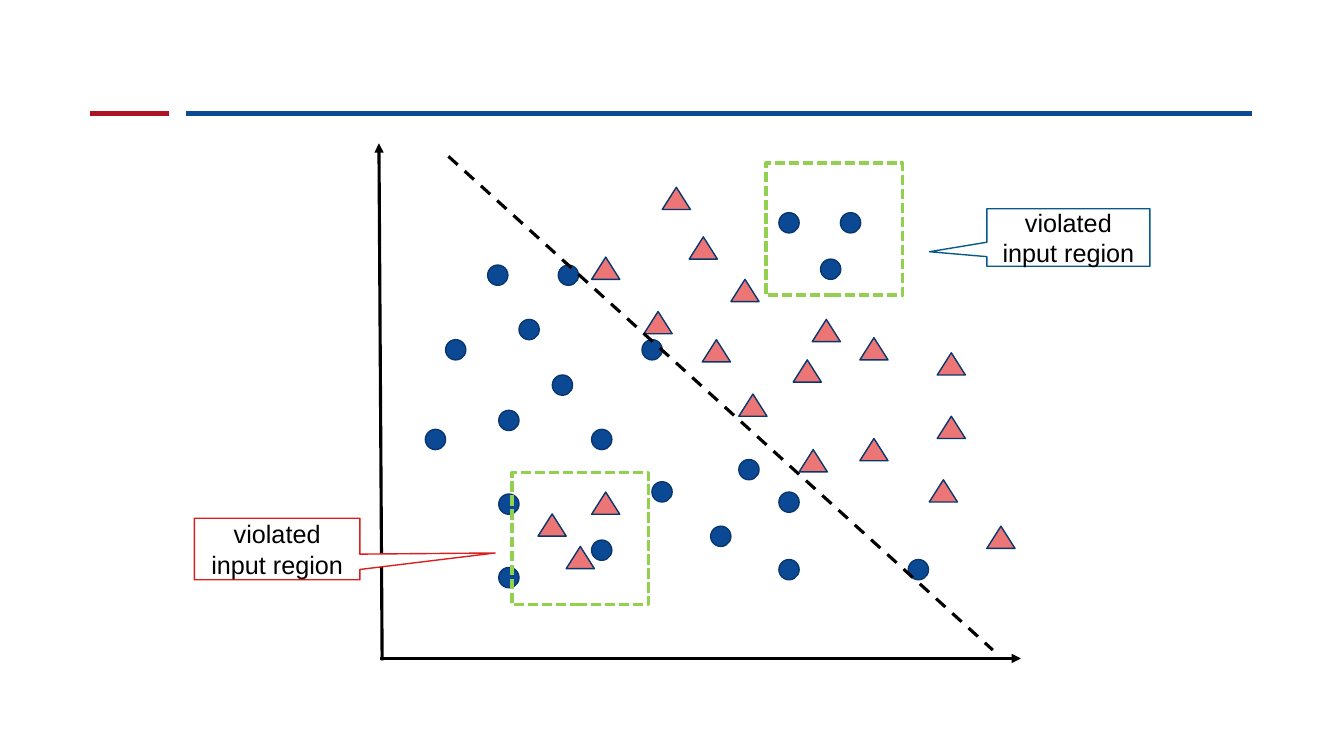
import pptx
import pptx.util
import pptx.dml.color
import pptx.enum.dml
import pptx.enum.shapes
import pptx.enum.text
import pptx.oxml
import pptx.oxml.ns

Cm = pptx.util.Cm
Pt = pptx.util.Pt
KIND = pptx.enum.shapes.MSO_SHAPE
DASH = pptx.enum.dml.MSO_LINE

HUES = {
    "red": "AE1324", "blue": "0C4994", "navy": "09366D", "pink": "EC7676",
    "green": "92D050", "black": "000000", "white": "FFFFFF",
    "alert": "DB1F1F", "teal": "045A88",
}

# Left and top of each data point, in cm
DOTS = [
    (12.29, 6.68), (13.92, 9.45), (14.91, 10.82), (19.63, 14.1),
    (17.91, 13.26), (10.72, 10.82), (16.43, 12.14), (12.57, 12.45),
    (13.08, 8.05), (14.91, 13.61), (12.57, 14.3), (12.57, 10.34),
    (20.68, 6.53), (18.62, 11.58), (22.89, 14.1), (21.18, 5.36),
    (16.18, 8.56), (11.23, 8.56), (19.63, 12.4), (14.07, 6.68),
    (19.63, 5.36),
]
PEAKS = [
    (13.56, 12.95), (14.91, 6.48), (14.91, 12.4), (14.27, 13.77),
    (21.67, 11.05), (16.69, 4.72), (19.99, 9.07), (17.37, 5.97),
    (18.42, 7.04), (24.87, 13.26), (20.47, 8.05), (23.42, 12.09),
    (17.7, 8.56), (20.14, 11.33), (18.62, 9.93), (16.23, 7.85),
    (23.62, 10.49), (21.67, 8.51), (23.62, 8.89),
]


def tint(name):
    return pptx.dml.color.RGBColor.from_string(HUES[name])


def add_line(slide, start, end, hue, width, arrow=False, dash=None):
    ends = [Cm(v) for v in (*start, *end)]
    line = slide.shapes.add_connector(
        pptx.enum.shapes.MSO_CONNECTOR.STRAIGHT, *ends)
    line.line.color.rgb = tint(hue)
    line.line.width = Pt(width)
    if dash:
        line.line.dash_style = dash
    make = pptx.oxml.ns.qn
    if arrow:
        head = line.line._get_or_add_ln().makeelement(
            make("a:tailEnd"), {"type": "triangle"})
        line.line._get_or_add_ln().append(head)
    props = line._element.spPr
    props.append(props.makeelement(make("a:effectLst"), {}))


def add_form(slide, kind, box, fill, edge, width):
    form = slide.shapes.add_shape(kind, *[Cm(v) for v in box])
    form.shadow.inherit = False
    if fill:
        form.fill.solid()
        form.fill.fore_color.rgb = tint(fill)
    else:
        form.fill.background()
    form.line.color.rgb = tint(edge)
    form.line.width = Pt(width)
    return form


def add_marks(slide, kind, spots, size, fill):
    for spot in spots:
        add_form(slide, kind, (*spot, *size), fill, "navy", 1)


def add_zone(slide, left, top):
    zone = add_form(slide, KIND.RECTANGLE, (left, top, 3.45, 3.33),
                    None, "green", 2.5)
    zone.line.dash_style = DASH.SQUARE_DOT


def add_note(slide, box, tip, edge):
    note = add_form(slide, KIND.RECTANGULAR_CALLOUT, box, "white", edge, 1)
    note.adjustments[0], note.adjustments[1] = tip
    frame = note.text_frame
    frame.word_wrap = True
    frame.vertical_anchor = pptx.enum.text.MSO_ANCHOR.MIDDLE
    para = frame.paragraphs[0]
    para.text = "violated input region"
    para.alignment = pptx.enum.text.PP_ALIGN.CENTER
    para.font.name = "Arial"
    para.font.size = Pt(18)
    para.font.color.rgb = tint("black")


def main():
    deck = pptx.Presentation()
    deck.slide_width = Cm(33.87)
    deck.slide_height = Cm(19.05)
    slide = deck.slides.add_slide(deck.slide_layouts[6])

    # Header rule
    add_line(slide, (2.27, 2.85), (4.25, 2.85), "red", 3.5)
    add_line(slide, (4.68, 2.85), (31.55, 2.85), "blue", 3.5)

    # Axes, with the left note lying over the upright one
    add_line(slide, (9.63, 16.64), (9.55, 3.61), "black", 2.25, arrow=True)
    add_note(slide, (4.9, 13.06, 4.17, 1.55), (1.318, 0.065), "alert")
    add_line(slide, (9.58, 16.59), (25.73, 16.59), "black", 2.25, arrow=True)

    # Two classes of data points
    add_marks(slide, KIND.OVAL, DOTS, (0.51, 0.51), "blue")
    add_marks(slide, KIND.ISOSCELES_TRIANGLE, PEAKS, (0.71, 0.56), "pink")

    # Violated regions
    add_zone(slide, 12.9, 11.91)
    add_zone(slide, 19.3, 4.11)

    # Decision boundary and right note
    add_line(slide, (11.3, 3.94), (25.02, 16.38), "black", 2.25,
             dash=DASH.DASH)
    add_note(slide, (24.87, 5.26, 4.11, 1.45), (-0.852, 0.248), "teal")

    deck.save("out.pptx")


if __name__ == "__main__":
    main()
